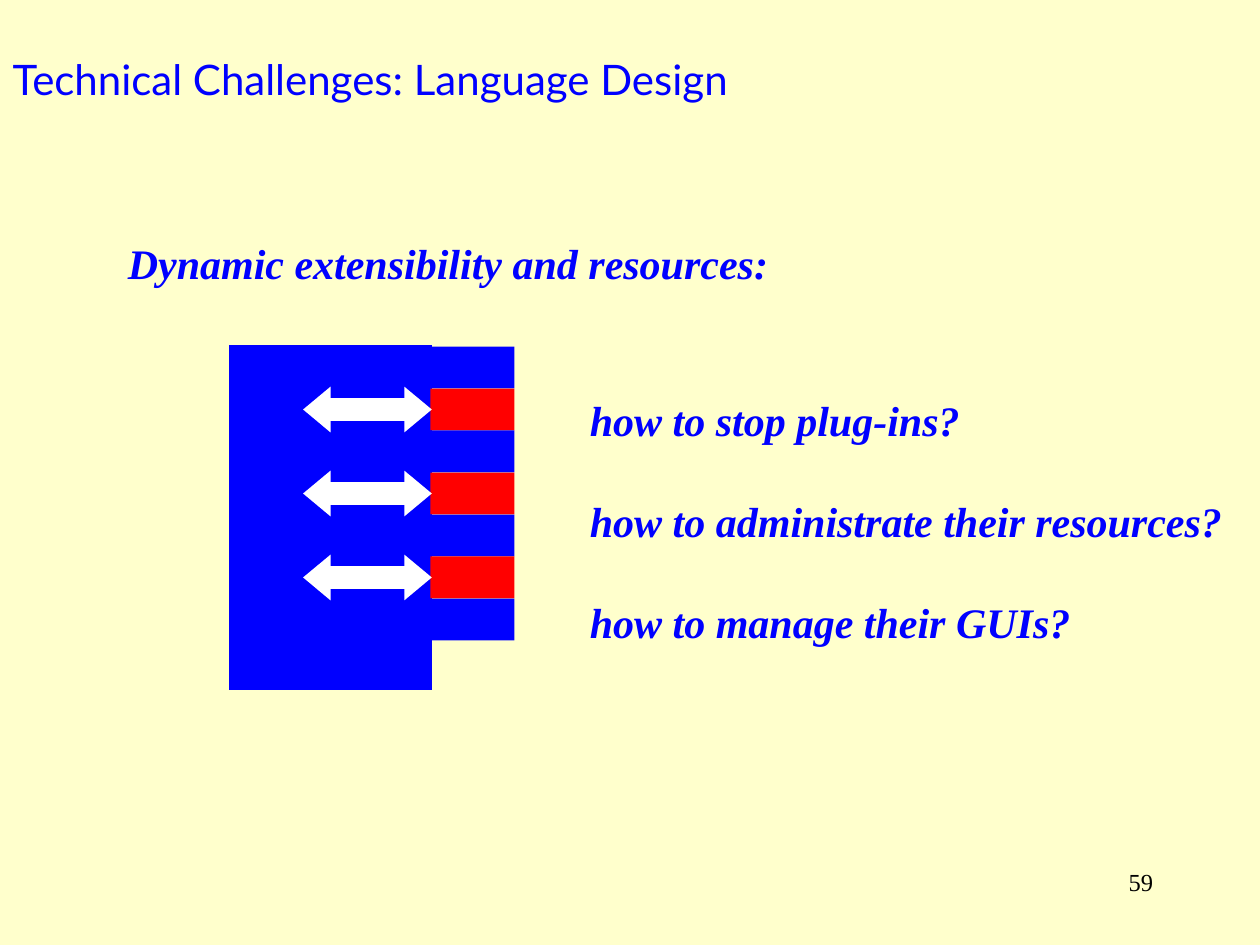
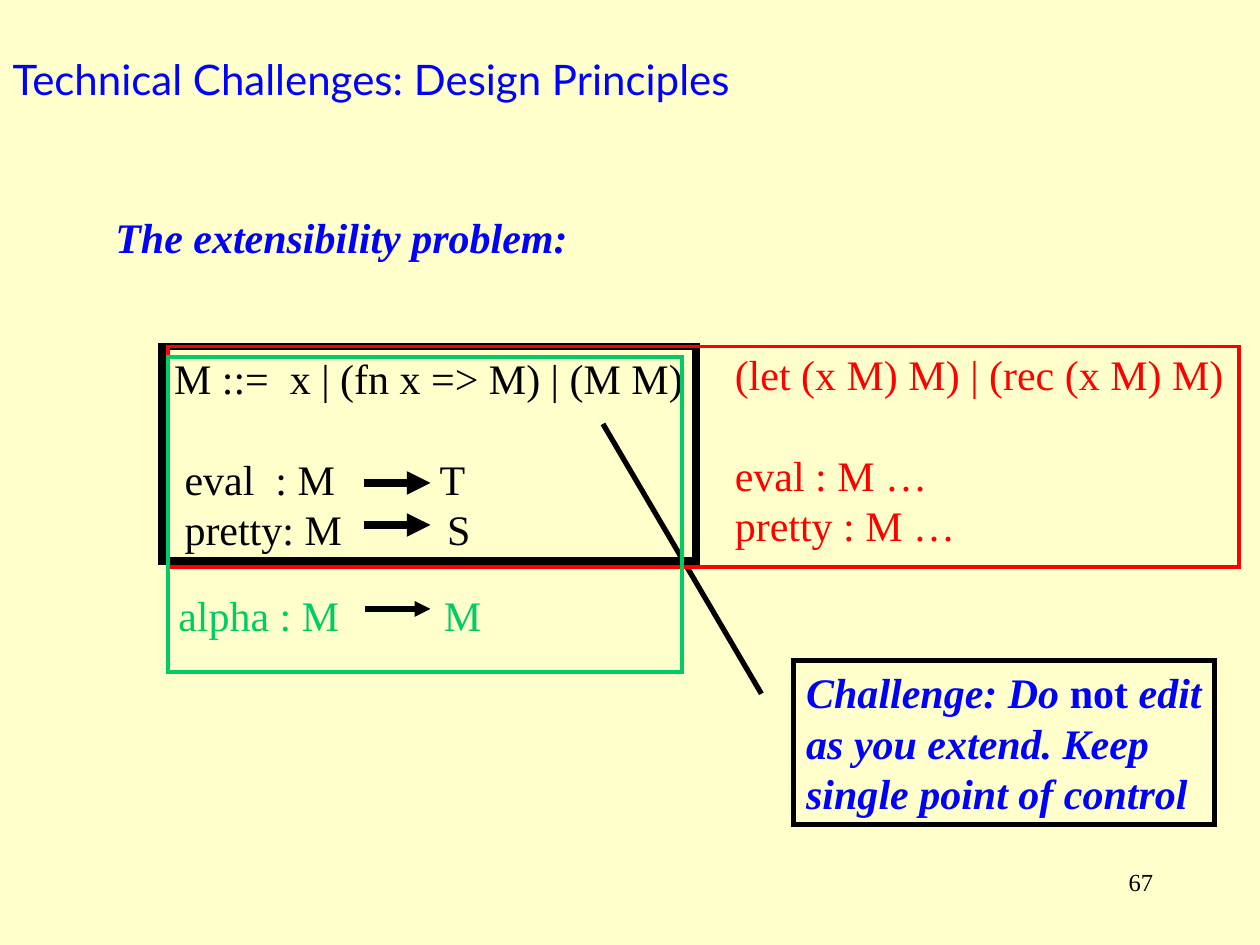
"""Build two slides on the technical challenges of extensible software."""
from dataclasses import dataclass
from typing import Optional

from lxml.etree import SubElement
from pptx import Presentation
from pptx.dml.color import RGBColor
from pptx.enum.shapes import MSO_CONNECTOR, MSO_SHAPE
from pptx.enum.text import MSO_ANCHOR, PP_ALIGN
from pptx.oxml.ns import qn
from pptx.util import Inches, Pt

COLOURS = {
    "paper": "FFFFCC",
    "blue": "0000FF",
    "red": "FF0000",
    "green": "00CC66",
    "black": "000000",
    "white": "FFFFFF",
}
WIDTH, HEIGHT = Inches(10), Inches(7.5)
COLUMNS, ROWS = 120, 90
TITLE_FONT, BODY_FONT = "Lato", "Times New Roman"
TITLE_ONLY = 5
LINE_HEIGHT = 28.8


@dataclass(frozen=True)
class Box:
    """A rectangle measured in grid columns and rows."""
    left: float
    top: float
    width: float
    height: float

    def lengths(self) -> tuple:
        """Return left, top, width and height as slide lengths."""
        return (across(self.left), down(self.top), across(self.width), down(self.height))


@dataclass(frozen=True)
class Style:
    """The look of a block of text."""
    colour: str = "blue"
    emphasis: bool = True
    size: float = 24
    font: str = BODY_FONT
    align: PP_ALIGN = PP_ALIGN.LEFT


@dataclass(frozen=True)
class Line:
    """A paragraph with an optional tab stop in columns and space before in lines."""
    text: str
    tab: Optional[float] = None
    skip: int = 0
    upright: str = ""


@dataclass(frozen=True)
class Mapping:
    """An arrow from a function's domain to its result."""
    row: float
    weight: float


CODE = Style("black", emphasis=False)
EXTENSION = Style("red", emphasis=False)
NEW_FUNCTION = Style("green", emphasis=False)
NUMBER = Style("black", emphasis=False, size=14, align=PP_ALIGN.RIGHT)
HEADING = Style()


def across(columns: float) -> int:
    """Convert columns to a slide length."""
    return round(WIDTH * columns / COLUMNS)


def down(rows: float) -> int:
    """Convert rows to a slide length."""
    return round(HEIGHT * rows / ROWS)


def colour_of(name: str) -> RGBColor:
    """Look up a palette colour."""
    return RGBColor.from_string(COLOURS[name])


def set_font(paragraph, style: Style) -> None:
    """Apply a text style to a whole paragraph."""
    paragraph.alignment = style.align
    font = paragraph.font
    font.name, font.size = style.font, Pt(style.size)
    font.bold = font.italic = style.emphasis
    font.color.rgb = colour_of(style.colour)


def write_lines(frame, lines: list[Line], style: Style, wrap: bool = False) -> None:
    """Fill a text frame with styled paragraphs."""
    frame.word_wrap = wrap
    frame.vertical_anchor = MSO_ANCHOR.TOP
    for index, line in enumerate(lines):
        paragraph = frame.paragraphs[0] if index == 0 else frame.add_paragraph()
        if line.tab is not None:
            tabs = SubElement(paragraph._p.get_or_add_pPr(), qn("a:tabLst"))
            SubElement(tabs, qn("a:tab"), pos=str(across(line.tab)), algn="l")
        if style.size == HEADING.size:
            paragraph.line_spacing = Pt(LINE_HEIGHT)
        if line.skip:
            paragraph.space_before = Pt(LINE_HEIGHT * line.skip)
        set_font(paragraph, style)
        before, upright, after = line.text.partition(line.upright) if line.upright else (line.text, "", "")
        for text in filter(None, (before, upright, after)):
            run = paragraph.add_run()
            run.text = text
            if text == upright:
                run.font.italic = False


def add_text(slide, box: Box, lines: list[Line], style: Style, wrap: bool = False) -> None:
    """Add a text box."""
    write_lines(slide.shapes.add_textbox(*box.lengths()).text_frame, lines, style, wrap)


def set_stroke(line, colour: str, weight: float):
    """Give a line its colour, weight, square ends and sharp corners."""
    line.color.rgb = colour_of(colour)
    line.width = Pt(weight)
    stroke = line._get_or_add_ln()
    stroke.set("cap", "sq")
    SubElement(stroke, qn("a:miter"), lim="800000")
    return stroke


def add_figure(slide, kind: MSO_SHAPE, box: Box, fill: Optional[str] = None,
               outline: Optional[str] = None, weight: float = 0):
    """Add a preset shape with a flat fill and outline."""
    shape = slide.shapes.add_shape(kind, *box.lengths())
    shape.shadow.inherit = False
    if fill:
        shape.fill.solid()
        shape.fill.fore_color.rgb = colour_of(fill)
    else:
        shape.fill.background()
    if outline:
        set_stroke(shape.line, outline, weight)
    else:
        shape.line.fill.background()
    return shape


def add_mapping(slide, mapping: Mapping) -> None:
    """Draw the arrow of one function signature."""
    row = down(mapping.row)
    connector = slide.shapes.add_connector(MSO_CONNECTOR.STRAIGHT, across(35), row, across(41), row)
    stroke = set_stroke(connector.line, "black", mapping.weight)
    SubElement(stroke, qn("a:tailEnd"), type="triangle")
    SubElement(connector._element.spPr, qn("a:effectLst"))


def prepare_template(presentation) -> None:
    """Set the slide size, background and title position."""
    presentation.slide_width, presentation.slide_height = WIDTH, HEIGHT
    background = presentation.slide_master.background.fill
    background.solid()
    background.fore_color.rgb = colour_of("paper")
    title = presentation.slide_layouts[TITLE_ONLY].placeholders[0]
    title.left, title.top, title.width, title.height = Box(0, 0, 102, 15).lengths()
    title.text_frame.vertical_anchor = MSO_ANCHOR.MIDDLE


def add_slide(presentation, topic: str, number: int):
    """Add a slide with the shared title and page number."""
    slide = presentation.slides.add_slide(presentation.slide_layouts[TITLE_ONLY])
    title = slide.shapes.title.text_frame
    title.text = f"Technical Challenges: {topic}"
    set_font(title.paragraphs[0], Style(emphasis=False, font=TITLE_FONT))
    add_text(slide, Box(86, 82, 25, 6), [Line(str(number))], NUMBER, wrap=True)
    return slide


def build_language_design(presentation) -> None:
    """Show a host program with plug-ins and the questions they raise."""
    slide = add_slide(presentation, "Language Design", 59)
    add_figure(slide, MSO_SHAPE.RECTANGLE, Box(22, 33, 19, 32.5), "blue", "blue", 2.25)
    add_text(slide, Box(11, 22, 63.36, 6), [Line("Dynamic extensibility and resources:")], HEADING)
    for index in range(7):
        top = 33 + 4 * index
        is_plug_in = index % 2 == 1
        add_figure(slide, MSO_SHAPE.RECTANGLE, Box(41, top, 8, 4), "red" if is_plug_in else "blue")
        if is_plug_in:
            arrow = add_figure(slide, MSO_SHAPE.LEFT_RIGHT_ARROW, Box(29, top, 12, 4), "white", "white", 1)
            arrow.adjustments[1] = 0.6
    questions = [
        Line("how to stop plug-ins?"),
        Line("how to administrate their resources?", skip=1),
        Line("how to manage their GUIs?", skip=1),
    ]
    add_text(slide, Box(55, 37, 62.64, 25.2), questions, HEADING)


def build_design_principles(presentation) -> None:
    """Show a grammar extended with new variants and new functions."""
    slide = add_slide(presentation, "Design Principles", 67)
    add_text(slide, Box(9.8, 19.6, 45.5, 6), [Line("The extensibility problem:")], HEADING)

    base = add_figure(slide, MSO_SHAPE.RECTANGLE, Box(15.4, 33, 50.9, 20.4), outline="black", weight=4.5)
    write_lines(base.text_frame, [
        Line("M ::=  x | (fn x => M) | (M M)"),
        Line(" eval  : M\tT", tab=25.3, skip=1),
        Line(" pretty: M\tS", tab=26),
    ], CODE)
    for mapping in (Mapping(46, 4.5), Mapping(50, 4.5)):
        add_mapping(slide, mapping)

    challenge = add_figure(slide, MSO_SHAPE.LINE_CALLOUT_1, Box(75.6, 62.9, 40.1, 15.6),
                           outline="black", weight=3)
    for index, value in enumerate((0.19, -0.08, -1.43, -0.45)):
        challenge.adjustments[index] = value
    write_lines(challenge.text_frame, [
        Line("Challenge: Do not edit", upright="not "),
        Line("as you extend. Keep"),
        Line("single point of control"),
    ], HEADING)

    add_text(slide, Box(68.8, 32.6, 49, 20.4), [
        Line("(let (x M) M) | (rec (x M) M)"),
        Line("eval : M …", skip=1),
        Line("pretty : M …"),
    ], EXTENSION)
    add_figure(slide, MSO_SHAPE.RECTANGLE, Box(16, 33, 102, 21), outline="red", weight=2.25)

    add_text(slide, Box(15.8, 55.6, 40, 6), [Line("alpha : M\tM", tab=25.3)], NEW_FUNCTION, wrap=True)
    add_mapping(slide, Mapping(58, 3))
    add_figure(slide, MSO_SHAPE.RECTANGLE, Box(16, 34, 49, 30), outline="green", weight=2.25)


def main() -> None:
    """Build and save the presentation."""
    presentation = Presentation()
    prepare_template(presentation)
    build_language_design(presentation)
    build_design_principles(presentation)
    presentation.save("out.pptx")


if __name__ == "__main__":
    main()
